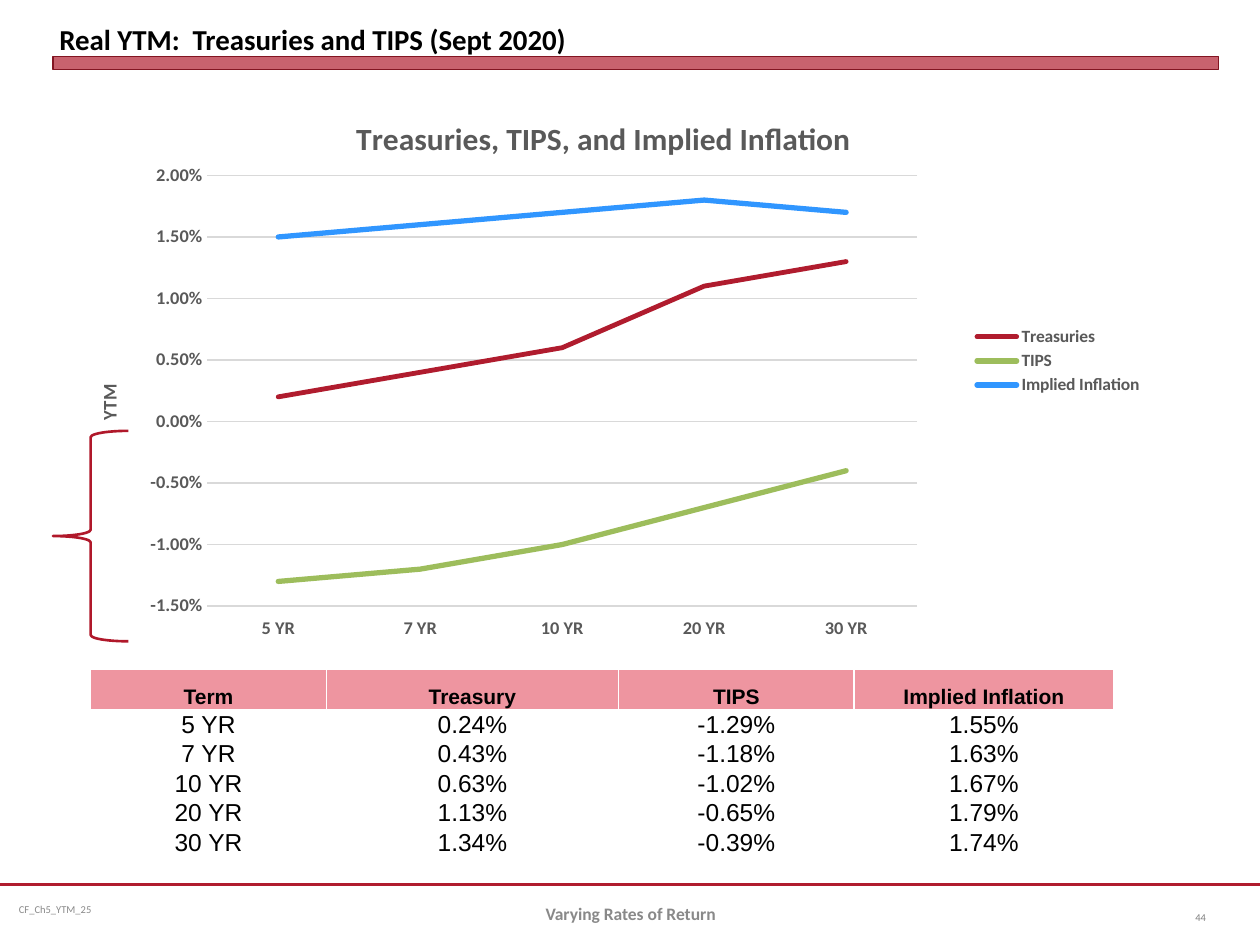
from dataclasses import dataclass

from lxml.etree import SubElement
from pptx import Presentation
from pptx.chart.data import CategoryChartData
from pptx.dml.color import RGBColor
from pptx.enum.chart import XL_CHART_TYPE, XL_LEGEND_POSITION, XL_TICK_LABEL_POSITION, XL_TICK_MARK
from pptx.enum.shapes import MSO_CONNECTOR, MSO_SHAPE
from pptx.enum.text import MSO_ANCHOR, PP_ALIGN
from pptx.oxml.ns import qn
from pptx.util import Inches, Pt


@dataclass(frozen=True)
class Theme:
    heading_font: str = "Calibri"
    table_font: str = "Arial"
    black: str = "000000"
    white: str = "FFFFFF"
    red: str = "B01C2E"
    dark_red: str = "821522"
    brace_red: str = "B0182A"
    pink: str = "EE95A0"
    green: str = "9DBD5C"
    blue: str = "3096FF"
    grid: str = "D9D9D9"
    chart_text: str = "595959"
    footer: str = "898989"
    page_number: str = "808080"
    title_size: float = 16.5
    chart_title_size: float = 18
    axis_title_size: float = 11
    axis_size: float = 10.5
    legend_size: float = 10
    header_size: float = 12
    body_size: float = 14
    footer_size: float = 10
    small_size: float = 6


def color(value):
    return RGBColor.from_string(value)


def set_font(font, name, size, value, bold=False):
    font.name = name
    font.size = Pt(size)
    font.bold = bold
    font.color.rgb = color(value)


def set_line(line, value, width):
    line.color.rgb = color(value)
    line.width = Pt(width)


def set_layout(element, position, **settings):
    for existing in element.findall(qn("c:layout")):
        element.remove(existing)
    layout = SubElement(element, qn("c:layout"))
    manual = SubElement(layout, qn("c:manualLayout"))
    for tag, value in settings.items():
        SubElement(manual, qn(f"c:{tag}")).set("val", str(value))
    element.insert(position, layout)


class SlideBuilder:
    def __init__(self, slide, theme):
        self.slide = slide
        self.shapes = slide.shapes
        self.theme = theme

    def title(self, text, *box):
        title = self.shapes.title
        title.left, title.top, title.width, title.height = map(Inches, box)
        frame = title.text_frame
        frame.text = text
        frame.vertical_anchor = MSO_ANCHOR.BOTTOM
        frame.margin_left = frame.margin_right = frame.margin_top = frame.margin_bottom = 0
        paragraph = frame.paragraphs[0]
        paragraph.alignment = PP_ALIGN.LEFT
        set_font(paragraph.font, self.theme.heading_font, self.theme.title_size, self.theme.black, True)

    def text(self, text, box, size, value, alignment=PP_ALIGN.LEFT, bold=False, inset=0.1):
        frame = self.shapes.add_textbox(*map(Inches, box)).text_frame
        frame.word_wrap = True
        frame.vertical_anchor = MSO_ANCHOR.MIDDLE
        frame.margin_left = frame.margin_right = Inches(inset)
        frame.text = text
        paragraph = frame.paragraphs[0]
        paragraph.alignment = alignment
        set_font(paragraph.font, self.theme.heading_font, size, value, bold)

    def rule(self, left, right, top):
        rule = self.shapes.add_connector(
            MSO_CONNECTOR.STRAIGHT, Inches(left), Inches(top), Inches(right), Inches(top))
        set_line(rule.line, self.theme.red, 1.25)
        SubElement(rule._element.spPr, qn("a:effectLst"))

    def bar(self, *box):
        bar = self.shapes.add_shape(MSO_SHAPE.RECTANGLE, *map(Inches, box))
        bar.shadow.inherit = False
        bar.fill.solid()
        bar.fill.fore_color.rgb = color(self.theme.red)
        fill_color = bar._element.spPr.find(f"{qn('a:solidFill')}/{qn('a:srgbClr')}")
        SubElement(fill_color, qn("a:alpha")).set("val", "69000")
        set_line(bar.line, self.theme.dark_red, 0)

    def brace(self, *box):
        brace = self.shapes.add_shape(MSO_SHAPE.LEFT_BRACE, *map(Inches, box))
        brace.shadow.inherit = False
        brace.fill.background()
        set_line(brace.line, self.theme.brace_red, 1.5)

    def heading(self, heading, text, size, x, y):
        heading.text_frame.text = text
        set_font(heading.text_frame.paragraphs[0].font, self.theme.heading_font, size,
                 self.theme.chart_text, True)
        set_layout(heading._element, 1, xMode="edge", yMode="edge", x=x, y=y)

    def axis(self, axis):
        theme = self.theme
        axis.major_tick_mark = axis.minor_tick_mark = XL_TICK_MARK.NONE
        set_font(axis.tick_labels.font, theme.heading_font, theme.axis_size, theme.chart_text, True)

    def line_chart(self, title, axis_title, categories, series, box):
        theme = self.theme
        data = CategoryChartData(number_format="0.00%")
        data.categories = categories
        for name, percents, *_ in series:
            data.add_series(name, [round(percent / 100, 3) for percent in percents])
        chart = self.shapes.add_chart(XL_CHART_TYPE.LINE, *map(Inches, box), data).chart
        set_font(chart.font, theme.heading_font, theme.legend_size, theme.black)
        self.heading(chart.chart_title, title, theme.chart_title_size, 0.27, 0.033)

        self.axis(chart.category_axis)
        chart.category_axis.tick_label_position = XL_TICK_LABEL_POSITION.LOW
        set_line(chart.category_axis.format.line, theme.grid, 0.75)
        values = chart.value_axis
        self.axis(values)
        values.minimum_scale, values.maximum_scale, values.major_unit = -0.015, 0.02, 0.005
        values.tick_labels.number_format = "0.00%"
        values.tick_labels.number_format_is_linked = False
        values.format.line.fill.background()
        set_line(values.major_gridlines.format.line, theme.grid, 0.75)
        self.heading(values.axis_title, axis_title, theme.axis_title_size, 0.036, 0.537)

        chart.has_legend = True
        chart.legend.position = XL_LEGEND_POSITION.RIGHT
        chart.legend.include_in_layout = False
        set_font(chart.legend.font, theme.heading_font, theme.legend_size, theme.chart_text, True)
        plot = chart.plots[0]
        plot.vary_by_categories = False
        for line, (_, _, value, width) in zip(plot.series, series):
            line.smooth = False
            set_line(line.format.line, value, width)
            line._element.spPr.find(qn("a:ln")).set("cap", "rnd")
        set_layout(chart._chartSpace.chart.plotArea, 0, layoutTarget="inner", xMode="edge",
                   yMode="edge", x=0.14, y=0.152, w=0.644, h=0.808)

    def cell(self, cell, text, header):
        theme = self.theme
        cell.text = text
        cell.vertical_anchor = MSO_ANCHOR.BOTTOM
        cell.margin_left = cell.margin_right = Inches(0.01)
        cell.margin_top = cell.margin_bottom = 0
        paragraph = cell.text_frame.paragraphs[0]
        paragraph.alignment = PP_ALIGN.CENTER
        size = theme.header_size if header else theme.body_size
        set_font(paragraph.font, theme.table_font, size, theme.black, header)
        properties = cell._tc.get_or_add_tcPr()
        for edge in ("lnL", "lnR", "lnT", "lnB"):
            border = SubElement(properties, qn(f"a:{edge}"), w=str(Pt(1)))
            fill = SubElement(border, qn("a:solidFill"))
            SubElement(fill, qn("a:srgbClr"), val=theme.white)
        cell.fill.solid()
        cell.fill.fore_color.rgb = color(theme.pink if header else theme.white)

    def table(self, rows, widths, heights, box):
        table = self.shapes.add_table(len(rows), len(widths), *map(Inches, box)).table
        for column, width in zip(table.columns, widths):
            column.width = Inches(width)
        for index, (row, height) in enumerate(zip(table.rows, heights)):
            row.height = Inches(height)
            for cell, text in zip(row.cells, rows[index]):
                self.cell(cell, text, index == 0)


def main():
    theme = Theme()
    presentation = Presentation()
    presentation.slide_width, presentation.slide_height = Inches(10), Inches(7.5)
    builder = SlideBuilder(presentation.slides.add_slide(presentation.slide_layouts[5]), theme)
    terms = ["5 YR", "7 YR", "10 YR", "20 YR", "30 YR"]
    treasuries = [0.24, 0.43, 0.63, 1.13, 1.34]
    tips = [-1.29, -1.18, -1.02, -0.65, -0.39]
    inflation = [1.55, 1.63, 1.67, 1.79, 1.74]

    builder.rule(0, 10, 7.02)
    builder.text("CF_Ch5_YTM_25", (0.08, 7.02, 2.58, 0.4), theme.small_size, theme.footer, inset=0.07)
    builder.bar(0.42, 0.45, 9.25, 0.1)
    builder.title(" Real YTM:  Treasuries and TIPS (Sept 2020)", 0.42, 0.05, 9.25, 0.4)
    builder.text("44", (9.17, 7.08, 0.5, 0.4), theme.small_size, theme.page_number, PP_ALIGN.RIGHT)
    builder.text("Varying Rates of Return", (3.42, 7.05, 3.17, 0.4), theme.footer_size,
                 theme.footer, PP_ALIGN.CENTER, True)
    series = [("Treasuries", treasuries, theme.red, 2.75), ("TIPS", tips, theme.green, 3),
              ("Implied Inflation", inflation, theme.blue, 3)]
    builder.line_chart("Treasuries, TIPS, and Implied Inflation", "YTM", terms, series,
                       (0.42, 0.75, 8.75, 4.33))
    rows = [("Term", "Treasury", "TIPS", "Implied Inflation")]
    rows += [(term, *(f"{rate:.2f}%" for rate in rates))
             for term, *rates in zip(terms, treasuries, tips, inflation)]
    builder.table(rows, [1.87, 2.32, 1.87, 2.06], [0.32] + [0.23] * len(terms),
                  (0.72, 5.31, 8.12, 1.47))
    builder.brace(0.42, 3.42, 0.6, 1.67)
    presentation.save("out.pptx")


if __name__ == "__main__":
    main()
